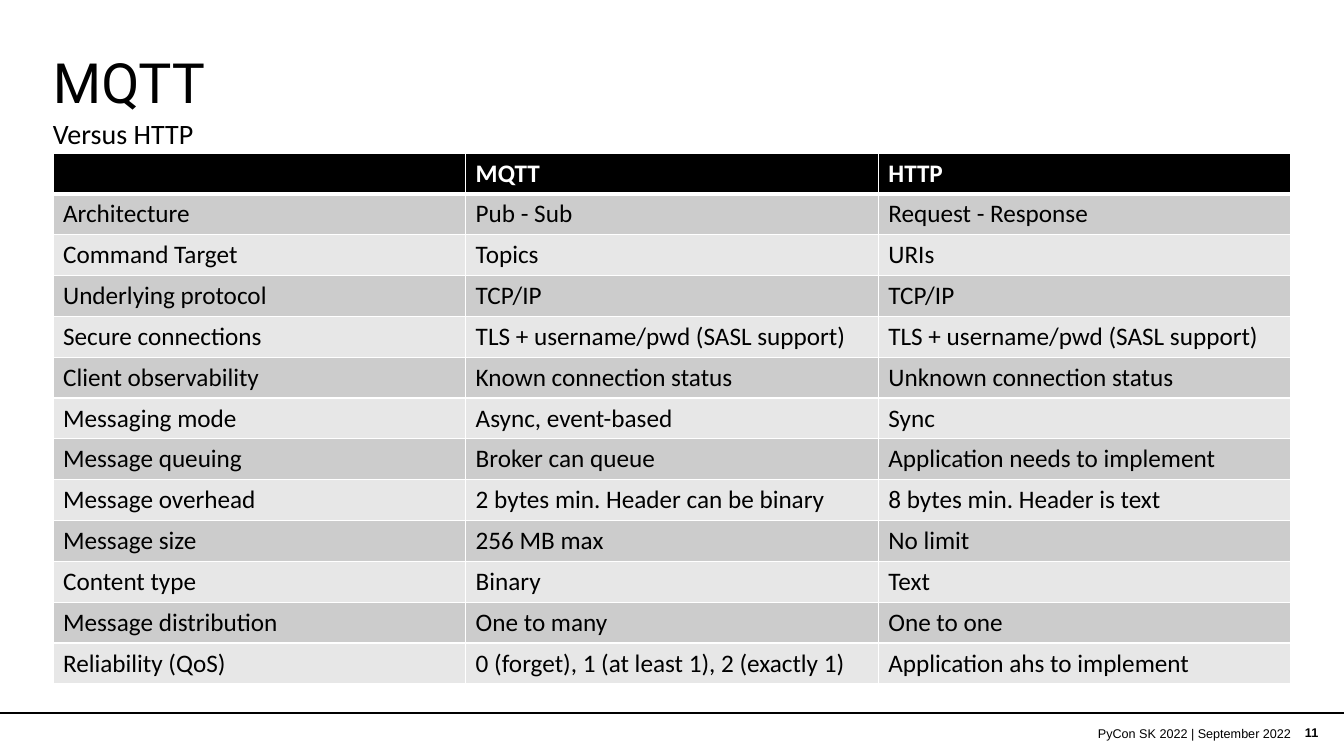
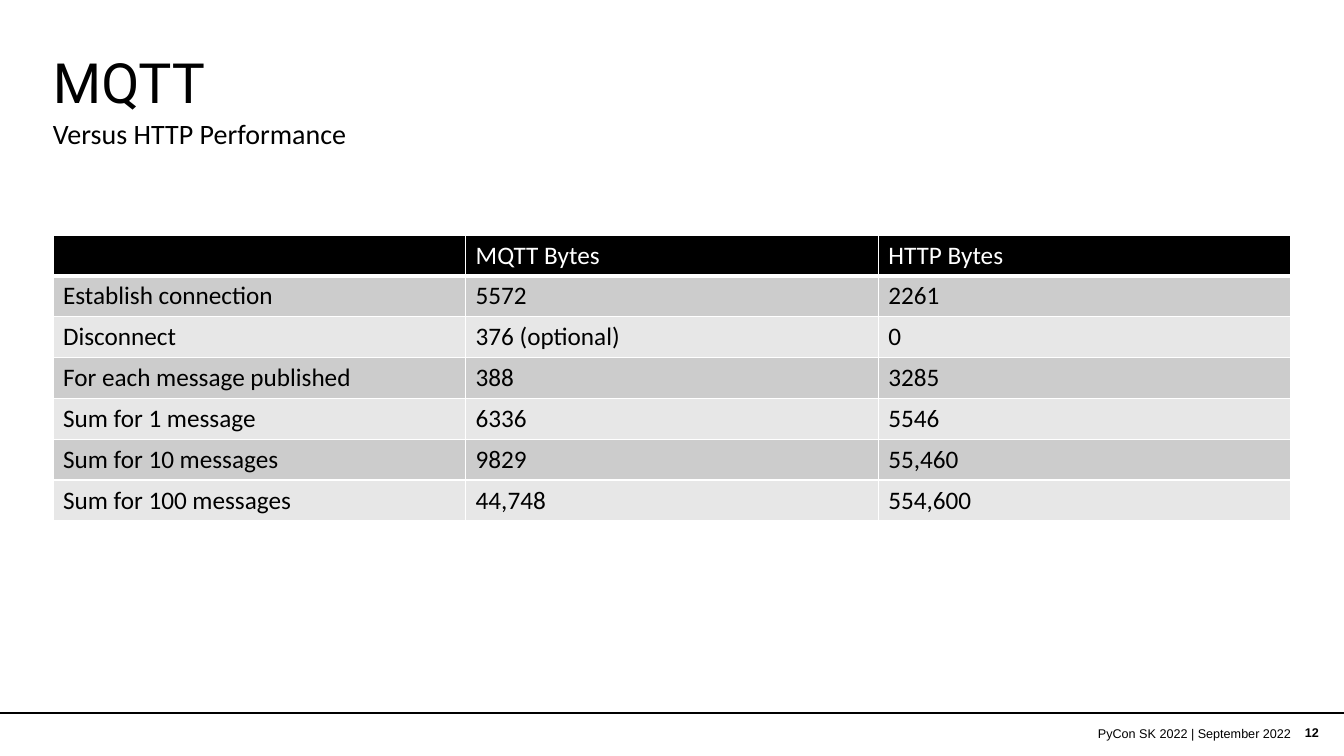
from lxml import etree
from pptx import Presentation
from pptx.dml.color import RGBColor
from pptx.enum.shapes import MSO_CONNECTOR
from pptx.enum.text import MSO_ANCHOR, MSO_AUTO_SIZE, PP_ALIGN
from pptx.oxml.ns import qn
from pptx.util import Emu, Pt

SLIDE_WIDTH, SLIDE_HEIGHT = 1344, 756
SCALE = 12192000 / SLIDE_WIDTH

BLACK = RGBColor(0x00, 0x00, 0x00)
WHITE = RGBColor(0xFF, 0xFF, 0xFF)
DARK_BAND = RGBColor(0xCC, 0xCC, 0xCC)
LIGHT_BAND = RGBColor(0xE7, 0xE7, 0xE7)

TITLE_FONT, BODY_FONT, FOOTER_FONT = "Roboto", "Calibri", "Arial"
LEFT, CONTENT_WIDTH = 53, 1238
RULE_TOP = 713
FOOTER = "PyCon SK 2022 | September 2022"

SLIDES = [
    {
        "number": 11,
        "title": "MQTT",
        "subtitle": "Versus HTTP",
        "table_top": 153,
        "table_height": 531,
        "bold_header": True,
        "rows": [
            ("", "MQTT", "HTTP"),
            ("Architecture", "Pub - Sub", "Request - Response"),
            ("Command Target", "Topics", "URIs"),
            ("Underlying protocol", "TCP/IP", "TCP/IP"),
            ("Secure connections", "TLS + username/pwd (SASL support)",
             "TLS + username/pwd (SASL support)"),
            ("Client observability", "Known connection status", "Unknown connection status"),
            ("Messaging mode", "Async, event-based", "Sync"),
            ("Message queuing", "Broker can queue", "Application needs to implement"),
            ("Message overhead", "2 bytes min. Header can be binary",
             "8 bytes min. Header is text"),
            ("Message size", "256 MB max", "No limit"),
            ("Content type", "Binary", "Text"),
            ("Message distribution", "One to many", "One to one"),
            ("Reliability (QoS)", "0 (forget), 1 (at least 1), 2 (exactly 1)",
             "Application ahs to implement"),
        ],
    },
    {
        "number": 12,
        "title": "MQTT",
        "subtitle": "Versus HTTP Performance",
        "table_top": 235,
        "table_height": 286,
        "bold_header": False,
        "rows": [
            ("", "MQTT Bytes", "HTTP Bytes"),
            ("Establish connection", "5572", "2261"),
            ("Disconnect", "376 (optional)", "0"),
            ("For each message published", "388", "3285"),
            ("Sum for 1 message", "6336", "5546"),
            ("Sum for 10 messages", "9829", "55,460"),
            ("Sum for 100 messages", "44,748", "554,600"),
        ],
    },
]


def px(length):
    return Emu(round(length * SCALE))


def add_run(paragraph, text, font, size, color=BLACK, bold=False):
    run = paragraph.add_run()
    run.text = text
    run.font.name = font
    run.font.size = Pt(size)
    run.font.bold = bold
    run.font.color.rgb = color


def add_text(slide, box, text, font, size, *, bold=False, margins=(0, 5, 10, 5),
             anchor=MSO_ANCHOR.MIDDLE, align=PP_ALIGN.LEFT, spacing=None, wrap=True):
    """Add a one-line text box; margins run left, top, right, bottom."""
    frame = slide.shapes.add_textbox(*map(px, box)).text_frame
    frame.word_wrap = wrap
    frame.auto_size = MSO_AUTO_SIZE.NONE if wrap else MSO_AUTO_SIZE.SHAPE_TO_FIT_TEXT
    frame.vertical_anchor = anchor
    (frame.margin_left, frame.margin_top,
     frame.margin_right, frame.margin_bottom) = map(px, margins)
    paragraph = frame.paragraphs[0]
    paragraph.alignment = align
    if spacing:
        paragraph.line_spacing = spacing
    add_run(paragraph, text, font, size, bold=bold)


def add_footer(slide, number):
    rule = slide.shapes.add_connector(
        MSO_CONNECTOR.STRAIGHT, 0, px(RULE_TOP), px(SLIDE_WIDTH), px(RULE_TOP))
    rule.line.color.rgb = BLACK
    rule.line.width = Pt(1)
    etree.SubElement(rule._element.spPr, qn("a:effectLst"))
    add_text(slide, (1305, 725, 19, 15), str(number), FOOTER_FONT, 9,
             bold=True, margins=(0, 0, 0, 0), wrap=False)
    add_text(slide, (275, 725, 1016, 16), FOOTER, FOOTER_FONT, 9,
             margins=(10, 5, 0, 5), align=PP_ALIGN.RIGHT)


def add_heading(slide, title, subtitle):
    add_text(slide, (LEFT, 61, CONTENT_WIDTH, 50), title, TITLE_FONT, 39.6, spacing=0.9)
    add_text(slide, (LEFT, 115, CONTENT_WIDTH, 34), subtitle, BODY_FONT, 20,
             anchor=MSO_ANCHOR.TOP, spacing=0.9)


def set_borders(cell, top, bottom):
    """Draw white cell borders, with the top and bottom widths in points."""
    properties = cell._tc.get_or_add_tcPr()
    for side, width in (("L", 1), ("R", 1), ("T", top), ("B", bottom)):
        line = etree.SubElement(properties, qn(f"a:ln{side}"), w=str(Pt(width)))
        fill = etree.SubElement(line, qn("a:solidFill"))
        etree.SubElement(fill, qn("a:srgbClr"), val=str(WHITE))


def add_comparison(slide, rows, top, height, bold_header):
    table = slide.shapes.add_table(
        len(rows), len(rows[0]), px(LEFT), px(top), px(CONTENT_WIDTH), px(height)).table
    table.horz_banding = False
    for row in table.rows:
        row.height = px(height / len(rows))
    for row_index, texts in enumerate(rows):
        header = row_index == 0
        band = BLACK if header else (LIGHT_BAND, DARK_BAND)[row_index % 2]
        for column_index, text in enumerate(texts):
            cell = table.cell(row_index, column_index)
            set_borders(cell, top=3 if row_index == 1 else 1, bottom=3 if header else 1)
            cell.fill.solid()
            cell.fill.fore_color.rgb = band
            if text:
                add_run(cell.text_frame.paragraphs[0], text, BODY_FONT, 18,
                        WHITE if header else BLACK, header and bold_header)


def main():
    presentation = Presentation()
    presentation.slide_width = px(SLIDE_WIDTH)
    presentation.slide_height = px(SLIDE_HEIGHT)
    for content in SLIDES:
        slide = presentation.slides.add_slide(presentation.slide_layouts[6])
        add_footer(slide, content["number"])
        add_heading(slide, content["title"], content["subtitle"])
        add_comparison(slide, content["rows"], content["table_top"],
                       content["table_height"], content["bold_header"])
    presentation.save("out.pptx")


if __name__ == "__main__":
    main()
